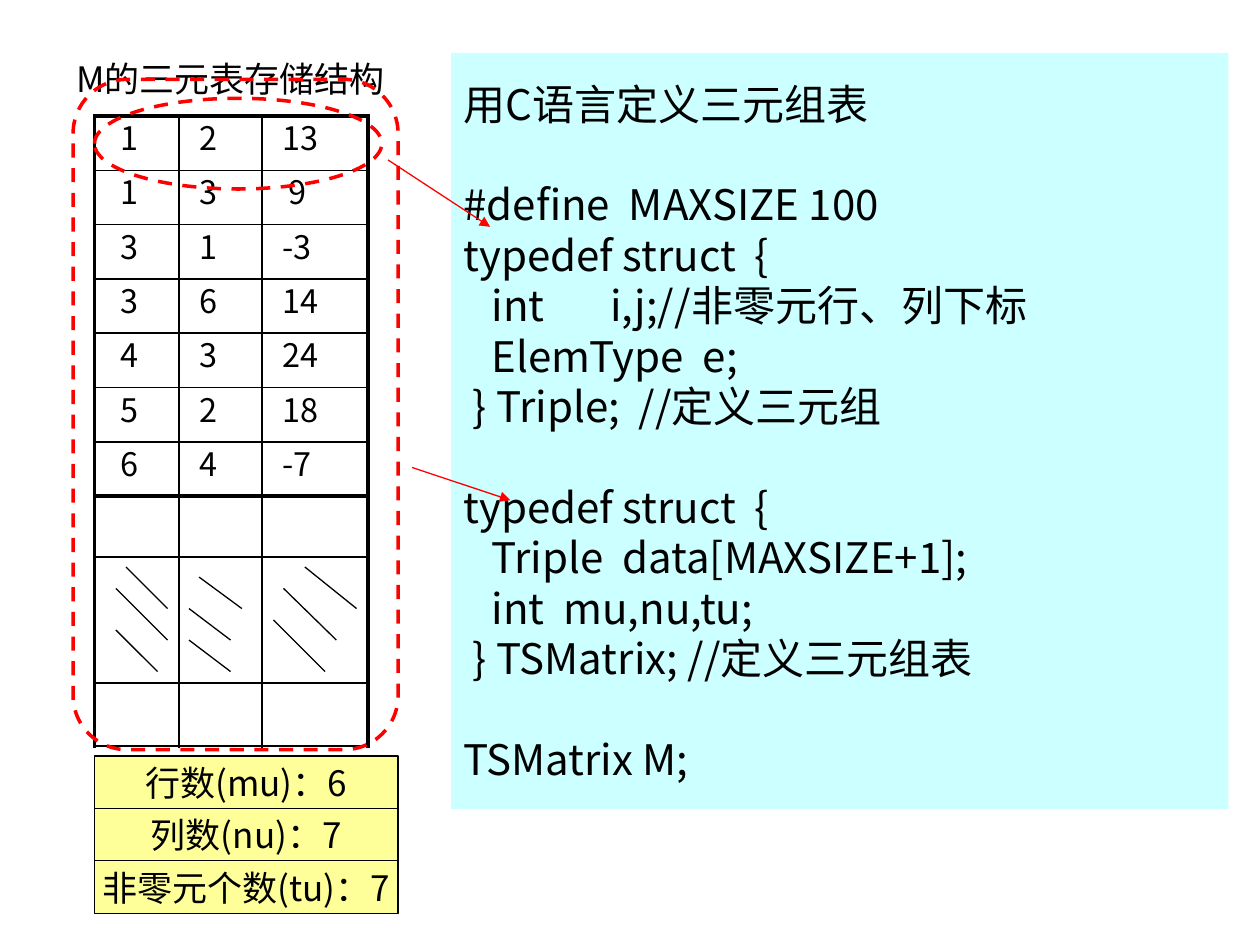
from lxml import etree
from pptx import Presentation
from pptx.dml.color import RGBColor
from pptx.enum.dml import MSO_LINE
from pptx.enum.shapes import MSO_CONNECTOR, MSO_SHAPE
from pptx.enum.text import MSO_ANCHOR, MSO_AUTO_SIZE, PP_ALIGN
from pptx.oxml.ns import qn
from pptx.util import Inches, Pt

STRAIGHT, DASH = MSO_CONNECTOR.STRAIGHT, MSO_LINE.DASH
RECTANGLE, OVAL, ROUNDED = MSO_SHAPE.RECTANGLE, MSO_SHAPE.OVAL, MSO_SHAPE.ROUNDED_RECTANGLE
MIDDLE, TOP, NO_FIT = MSO_ANCHOR.MIDDLE, MSO_ANCHOR.TOP, MSO_AUTO_SIZE.NONE
LEFT, CENTER = PP_ALIGN.LEFT, PP_ALIGN.CENTER

FONT = "Noto Sans CJK SC"
BLACK, RED, YELLOW, CYAN = "000000", "FF0000", "FFFF99", "CCFFFF"
EDGES = (0.75, 1.42, 2.08, 2.92)
TABLE_TOP, TABLE_HEIGHT = 0.92, 3.02
TRIPLES = [(1, 2, 13), (1, 3, 9), (3, 1, -3), (3, 6, 14), (4, 3, 24), (5, 2, 18), (6, 4, -7)]
COUNTS = ["行数(mu)：6", "列数(nu)：7", "非零元个数(tu)：7"]
HATCHES = [
    (1, 4.5, 1.33, 4.83), (0.92, 4.67, 1.33, 5.08), (0.92, 5, 1.25, 5.33),
    (1.58, 4.58, 1.92, 4.83), (1.5, 4.83, 1.83, 5.08), (1.5, 5.08, 1.83, 5.33),
    (2.42, 4.5, 2.83, 4.83), (2.25, 4.67, 2.67, 5.08), (2.17, 4.92, 2.58, 5.33),
]
CODE_BLOCKS = [
    ["用C语言定义三元组表"],
    ["#define  MAXSIZE 100", "typedef struct  {", "   int       i,j;//非零元行、列下标",
     "   ElemType  e;", " } Triple;  //定义三元组"],
    ["typedef struct  {", "   Triple  data[MAXSIZE+1];", "   int  mu,nu,tu;",
     " } TSMatrix; //定义三元组表"],
    ["TSMatrix M;"],
]
CODE_PITCH = 28.8


def color(value):
    """Turn a hex string into a colour."""
    return RGBColor.from_string(value)


def format_paragraph(para, size, align=LEFT):
    """Align a paragraph and set the font of its runs."""
    para.alignment = align
    for span in para.runs:
        span.font.size = Pt(size)
        span.font.name = FONT
        span.font.color.rgb = color(BLACK)
        east_asian = etree.SubElement(span.font._element, qn("a:ea"))
        east_asian.set("typeface", FONT)


def add_line(page, ends, width=0.75, line_color=BLACK, arrow=False):
    """Draw a straight line, with an arrowhead at its end if asked."""
    line = page.shapes.add_connector(STRAIGHT, *map(Inches, ends))
    line.line.color.rgb = color(line_color)
    line.line.width = Pt(width)
    if arrow:
        etree.SubElement(line.line._get_or_add_ln(), qn("a:tailEnd")).set("type", "triangle")
    etree.SubElement(line._element.spPr, qn("a:effectLst"))


def add_box(page, kind, place, fill=None, line_color=None, width=0.75):
    """Add a shape with an optional fill and outline."""
    box = page.shapes.add_shape(kind, *map(Inches, place))
    box.shadow.inherit = False
    if fill:
        box.fill.solid()
        box.fill.fore_color.rgb = color(fill)
    else:
        box.fill.background()
    if line_color:
        box.line.color.rgb = color(line_color)
        box.line.width = Pt(width)
    else:
        box.line.fill.background()
    box.text_frame.word_wrap = False
    box.text_frame.vertical_anchor = MIDDLE
    return box


def add_dashed_ring(page, kind, place):
    """Add an unfilled red dashed outline."""
    add_box(page, kind, place, line_color=RED, width=2).line.dash_style = DASH


def set_title(page):
    """Place and format the slide title above the table."""
    title = page.shapes.title
    title.left, title.top, title.width, title.height = map(Inches, (0.33, 0.5, 3, 0.25))
    frame = title.text_frame
    frame.text = "M的三元表存储结构"
    frame.word_wrap = False
    frame.auto_size = NO_FIT
    frame.vertical_anchor = MIDDLE
    format_paragraph(frame.paragraphs[0], 20, CENTER)


def set_border(cell, side, width):
    """Draw one black border of a cell."""
    border = etree.SubElement(cell._tc.get_or_add_tcPr(), qn(f"a:{side}"), w=str(Pt(width)))
    fill = etree.SubElement(border, qn("a:solidFill"))
    etree.SubElement(fill, qn("a:srgbClr"), val=BLACK)


def add_triple_table(page):
    """Add the table of row, column and value triples."""
    rows, columns = len(TRIPLES), len(EDGES) - 1
    place = (EDGES[0], TABLE_TOP, EDGES[-1] - EDGES[0], TABLE_HEIGHT)
    table = page.shapes.add_table(rows, columns, *map(Inches, place)).table
    table.first_row = table.horz_banding = False
    for column, left, right in zip(table.columns, EDGES, EDGES[1:]):
        column.width = Inches(right - left)
    for r, triple in enumerate(TRIPLES):
        table.rows[r].height = Inches(TABLE_HEIGHT / rows)
        for c, value in enumerate(triple):
            cell = table.cell(r, c)
            cell.text = str(value)
            indented = c == 0 or (c == 2 and len(cell.text) == 1)
            cell.margin_left = Inches(0.21 if indented else 0.16)
            cell.margin_top, cell.margin_bottom = Inches(0.07), Inches(0.02)
            cell.vertical_anchor = TOP
            para = cell.text_frame.paragraphs[0]
            para.line_spacing = Pt(20)
            format_paragraph(para, 18.5)
            outer = {"lnL": c == 0, "lnR": c == columns - 1, "lnT": r == 0, "lnB": r == rows - 1}
            for side, is_outer in outer.items():
                set_border(cell, side, 2.25 if is_outer else 1)
            cell.fill.background()


def add_spare_rows(page):
    """Draw the hatched unused part of the table."""
    for x in EDGES:
        add_line(page, (x, 3.83, x, 5.94), 2.25 if x in (EDGES[0], EDGES[-1]) else 1)
    for y in (4.42, 5.42, 5.92):
        add_line(page, (EDGES[0], y, EDGES[-1], y))
    for ends in HATCHES:
        add_line(page, ends)


def add_counts(page):
    """Stack the yellow boxes with the matrix sizes."""
    for index, label in enumerate(COUNTS):
        place = (0.75, 6 + index * 0.415, 2.41, 0.42)
        frame = add_box(page, RECTANGLE, place, YELLOW, BLACK).text_frame
        frame.text = label
        format_paragraph(frame.paragraphs[0], 20, CENTER)


def add_code(page):
    """Add the panel with the type definitions."""
    frame = add_box(page, RECTANGLE, (3.58, 0.42, 6.17, 6), CYAN).text_frame
    frame.text = "\n".join(line for block in CODE_BLOCKS for line in block)
    paragraphs = iter(frame.paragraphs)
    for block_index, block in enumerate(CODE_BLOCKS):
        for line_index in range(len(block)):
            para = next(paragraphs)
            para.line_spacing = Pt(CODE_PITCH)
            if block_index and not line_index:
                para.space_before = Pt(CODE_PITCH)
            format_paragraph(para, 24)


def main():
    """Build the slide and save the deck."""
    deck = Presentation()
    deck.slide_width, deck.slide_height = Inches(10), Inches(7.5)
    page = deck.slides.add_slide(deck.slide_layouts[5])
    set_title(page)
    add_spare_rows(page)
    add_counts(page)
    add_code(page)
    add_triple_table(page)
    add_dashed_ring(page, OVAL, (0.75, 0.78, 2.28, 0.72))
    add_line(page, (3.08, 1.27, 3.89, 1.8), line_color=RED, arrow=True)
    add_dashed_ring(page, ROUNDED, (0.58, 0.63, 2.58, 5.32))
    add_line(page, (3.27, 3.71, 4.05, 3.97), line_color=RED, arrow=True)
    deck.save("out.pptx")


if __name__ == "__main__":
    main()
